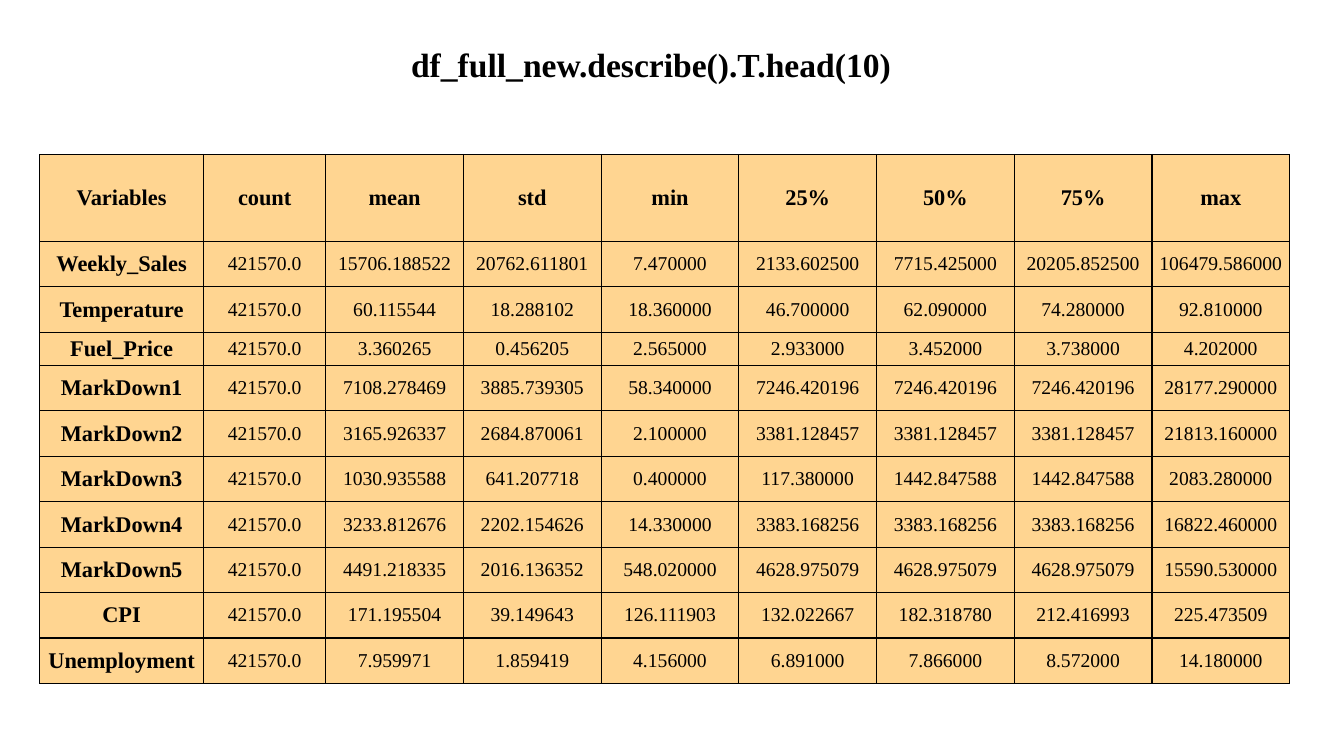
from lxml import etree
from pptx import Presentation
from pptx import util as u
from pptx.dml.color import RGBColor
from pptx.enum import text
from pptx.oxml import ns

COLORS = {"ink": "000000", "cell": "FFD591"}

HEADERS = ["Variables", "count", "mean", "std", "min", "25%", "50%", "75%", "max"]
COUNT = "421570.0"
STATISTICS = {
    "Weekly_Sales": "15706.188522 20762.611801 7.470000 2133.602500 7715.425000 20205.852500 106479.586000",
    "Temperature": "60.115544 18.288102 18.360000 46.700000 62.090000 74.280000 92.810000",
    "Fuel_Price": "3.360265 0.456205 2.565000 2.933000 3.452000 3.738000 4.202000",
    "MarkDown1": "7108.278469 3885.739305 58.340000 7246.420196 7246.420196 7246.420196 28177.290000",
    "MarkDown2": "3165.926337 2684.870061 2.100000 3381.128457 3381.128457 3381.128457 21813.160000",
    "MarkDown3": "1030.935588 641.207718 0.400000 117.380000 1442.847588 1442.847588 2083.280000",
    "MarkDown4": "3233.812676 2202.154626 14.330000 3383.168256 3383.168256 3383.168256 16822.460000",
    "MarkDown5": "4491.218335 2016.136352 548.020000 4628.975079 4628.975079 4628.975079 15590.530000",
    "CPI": "171.195504 39.149643 126.111903 132.022667 182.318780 212.416993 225.473509",
    "Unemployment": "7.959971 1.859419 4.156000 6.891000 7.866000 8.572000 14.180000",
}

# Table measures in centimetres
TABLE_HEIGHT = 13.33
HEADER_HEIGHT = 2.19
FUEL_HEIGHT = 0.83
ROW_HEIGHT = (TABLE_HEIGHT - HEADER_HEIGHT - FUEL_HEIGHT) / (len(STATISTICS) - 1)
COLUMN_WIDTHS = [4.13, 3.08] + [3.47] * 7


class SlideBuilder:
    def __init__(self, slide, font_name="Times New Roman"):
        self.slide = slide
        self.font_name = font_name

    def style(self, paragraph, size, bold):
        font = paragraph.font
        font.name, font.size, font.bold = self.font_name, u.Pt(size), bold
        font.color.rgb = RGBColor.from_string(COLORS["ink"])

    def title(self, words, left, top, width, height, indent):
        shape = self.slide.shapes.add_textbox(*map(u.Cm, (left, top, width, height)))
        frame = shape.text_frame
        frame.word_wrap = True
        frame.margin_left = u.Cm(indent)
        frame.text = words
        self.style(frame.paragraphs[0], 24, True)

    def border(self, cell):
        properties = cell._tc.get_or_add_tcPr()
        for side in ("a:lnL", "a:lnR", "a:lnT", "a:lnB"):
            line = etree.SubElement(properties, ns.qn(side), w=str(u.Pt(1)))
            fill = etree.SubElement(line, ns.qn("a:solidFill"))
            etree.SubElement(fill, ns.qn("a:srgbClr"), val=COLORS["ink"])

    def cell(self, cell, words, size, bold):
        self.border(cell)
        cell.fill.solid()
        cell.fill.fore_color.rgb = RGBColor.from_string(COLORS["cell"])
        cell.margin_left = cell.margin_right = u.Cm(0.15)
        cell.margin_top = cell.margin_bottom = u.Cm(0.08)
        cell.vertical_anchor = text.MSO_ANCHOR.MIDDLE
        cell.text = words
        paragraph = cell.text_frame.paragraphs[0]
        paragraph.alignment = text.PP_ALIGN.CENTER
        self.style(paragraph, size, bold)

    def table(self, rows, left, top, widths, heights):
        table = self.slide.shapes.add_table(
            len(rows), len(widths), u.Cm(left), u.Cm(top),
            u.Cm(sum(widths)), u.Cm(sum(heights))).table
        table.first_row = table.horz_banding = False
        for column, width in zip(table.columns, widths):
            column.width = u.Cm(width)
        for i, (row, height) in enumerate(zip(rows, heights)):
            table.rows[i].height = u.Cm(height)
            for j, words in enumerate(row):
                is_heading = i == 0 or j == 0
                self.cell(table.cell(i, j), words, 16 if is_heading else 14, is_heading)


def main():
    presentation = Presentation()
    presentation.slide_width, presentation.slide_height = u.Cm(33.87), u.Cm(19.05)
    builder = SlideBuilder(presentation.slides.add_slide(presentation.slide_layouts[6]))

    # Title
    builder.title("df_full_new.describe().T.head(10)", 2.29, 0.99, 27.18, 1.28, indent=8.07)

    # Summary statistics
    rows = [HEADERS] + [[name, COUNT, *values.split()] for name, values in STATISTICS.items()]
    heights = [HEADER_HEIGHT] + [
        FUEL_HEIGHT if name == "Fuel_Price" else ROW_HEIGHT for name in STATISTICS]
    builder.table(rows, 1, 3.89, COLUMN_WIDTHS, heights)

    presentation.save("out.pptx")


if __name__ == "__main__":
    main()
